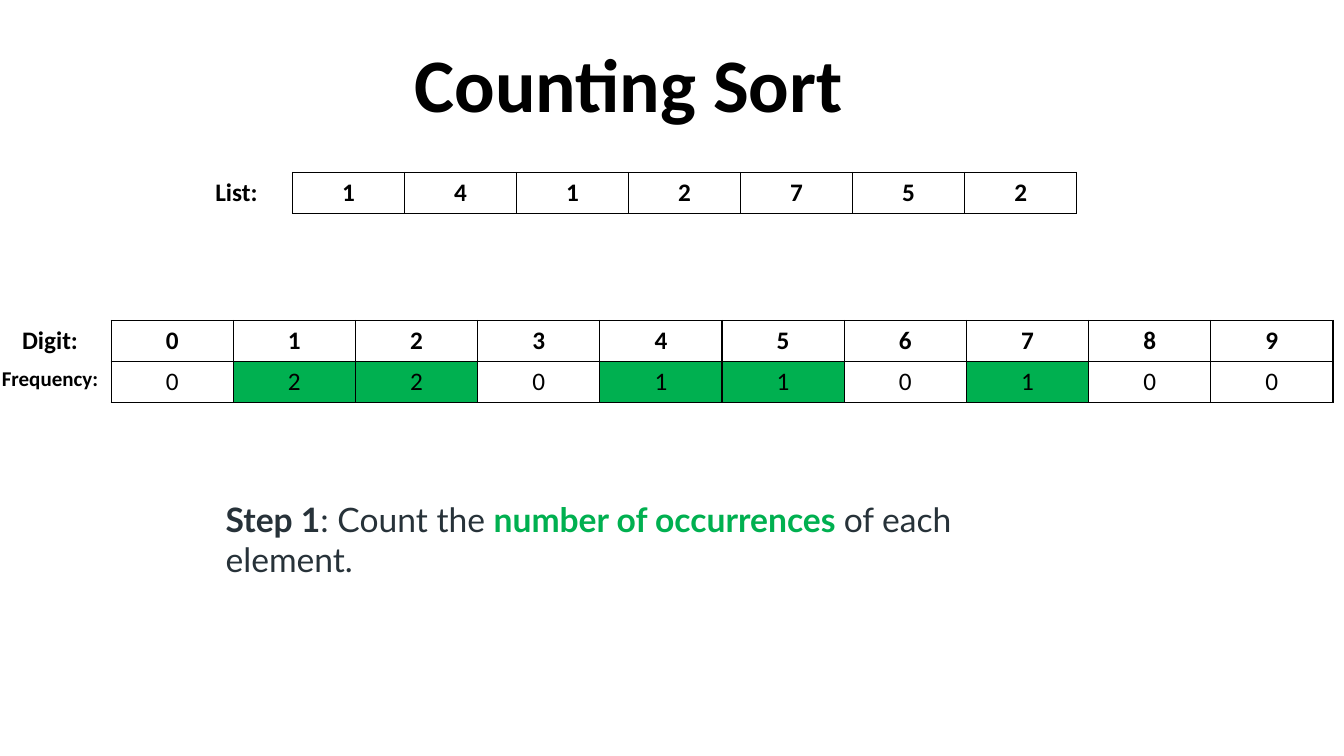
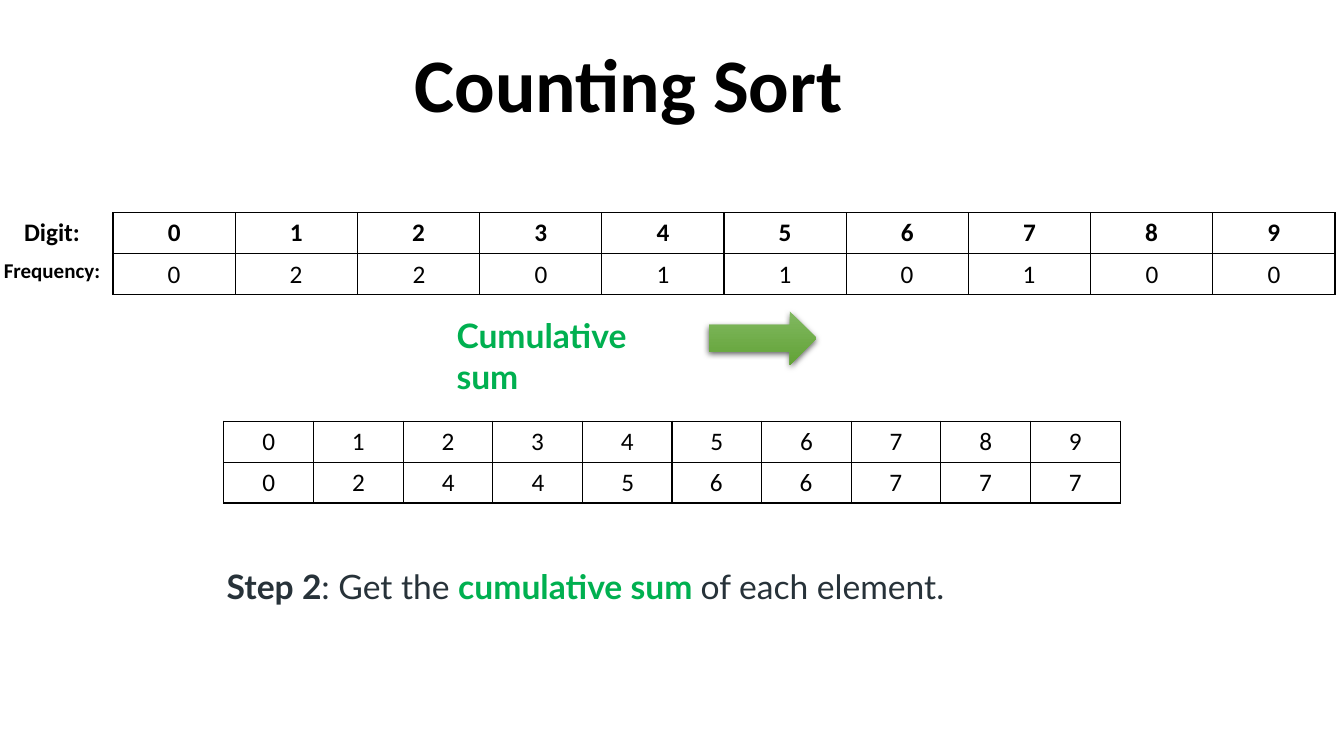
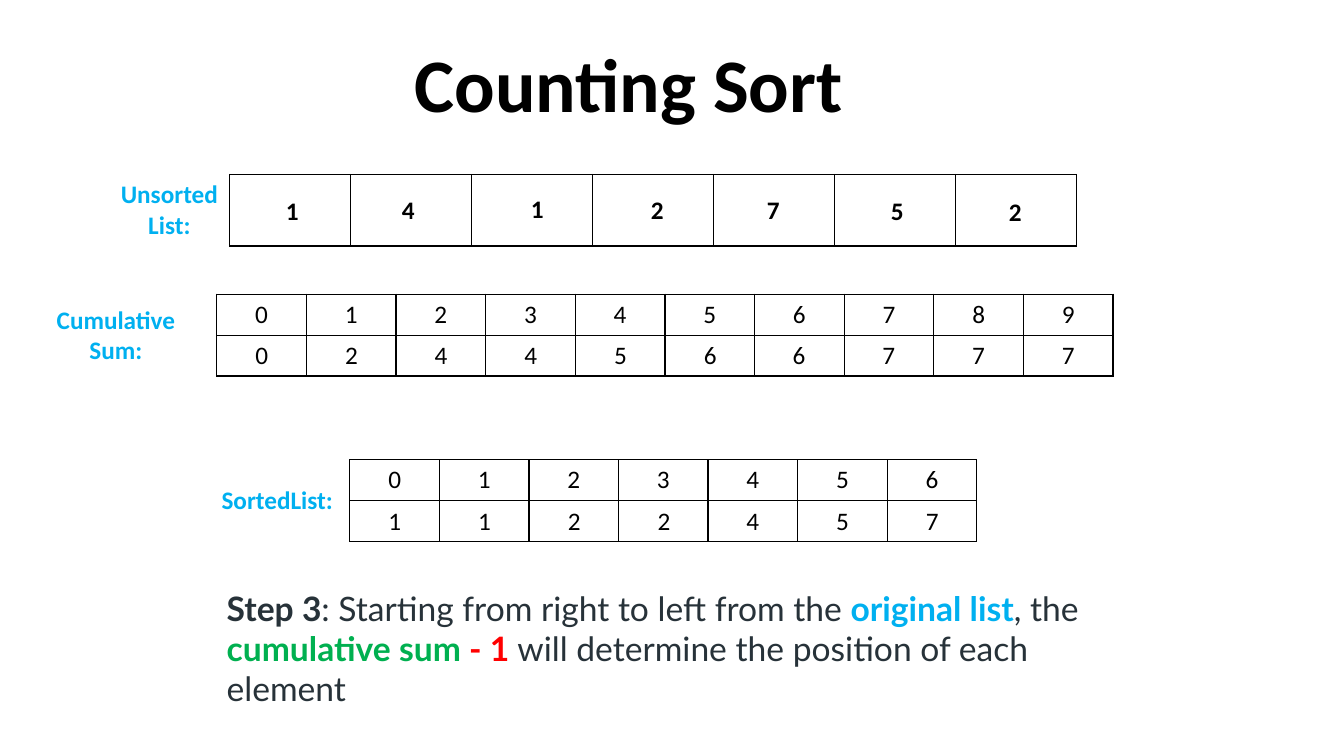
"""Build three slides that explain counting sort step by step."""
import lxml.etree
import pptx
import pptx.dml.color
import pptx.enum.shapes
import pptx.enum.text
import pptx.oxml.ns
import pptx.util

PX = 9144
BOX_HEIGHT = 40
BLACK, SLATE, GREEN, BLUE, RED = "000000", "273239", "00B050", "00B0F0", "FF0000"
ARROW_TOP, ARROW_BOTTOM = "81B861", "62A336"
TITLE = {"name": "Calibri", "size": pptx.util.Pt(54), "bold": True}
CELL = {"name": "Calibri", "size": pptx.util.Pt(18), "bold": False}
LABEL = CELL | {"bold": True}
SMALL_LABEL = LABEL | {"size": pptx.util.Pt(15)}
STEP = {"name": "Lato", "size": pptx.util.Pt(24), "bold": False}
STRONG = STEP | {"bold": True}
LEFT, CENTER = pptx.enum.text.PP_ALIGN.LEFT, pptx.enum.text.PP_ALIGN.CENTER
qn = pptx.oxml.ns.qn


def rgb(color):
    return pptx.dml.color.RGBColor.from_string(color)


def write(para, align, spans):
    para.alignment = align
    for text, style, color in spans:
        for line_index, line in enumerate(text.split("\n")):
            if line_index:
                para.add_line_break()
            span = para.add_run()
            span.text = line
            for name, value in style.items():
                setattr(span.font, name, value)
            span.font.color.rgb = rgb(color)


digits = list("0123456789")
numbers = list("1412752")
frequencies = list("0220110100")
cumulative = [digits, list("0244566777")]
counted = [["Digit:"] + digits, ["Frequency:"] + frequencies]
ordered = [digits[:7], sorted(numbers)]
level = [(0, 0)] * 11
scattered = [(0, 0), (2, 1), (-3, 0), (5, -1), (4, 0), (-1, 0), (2, 1), (-1, 2)]

pages = [
    {
        "floating": False,
        "tables": [
            ((179, 171, 889, 41), [["List:"] + numbers], BLACK, level),
            ((-11, 318, 1333, 81), counted, BLACK, level),
        ],
        "notes": [
            ((214, 490, 820, 50), LEFT, [
                ("Step 1", STRONG, SLATE),
                (": Count the ", STEP, SLATE),
                ("number of occurrences ", STRONG, GREEN),
                ("of each element.", STEP, SLATE),
            ]),
        ],
        "arrows": [],
    },
    {
        "floating": True,
        "tables": [
            ((-9, 211, 1333, 81), counted, BLACK, level),
            ((222, 418, 889, 81), cumulative, BLACK, level),
        ],
        "notes": [
            ((443, 308, 253, 50), LEFT, [("Cumulative sum", STRONG, GREEN)]),
            ((215, 557, 818, 50), LEFT, [
                ("Step 2", STRONG, SLATE),
                (": Get the ", STEP, SLATE),
                ("cumulative sum ", STRONG, GREEN),
                ("of each element.", STEP, SLATE),
            ]),
        ],
        "arrows": [(703, 309, 107, 53)],
    },
    {
        "floating": True,
        "tables": [
            ((215, 292, 889, 81), cumulative, BLACK, level),
            ((347, 456, 622, 81), ordered, BLACK, level),
            ((108, 173, 960, 70), [["Unsorted\nList:"] + numbers], BLUE, scattered),
        ],
        "notes": [
            ((20, 297, 190, 71), CENTER, [("Cumulative Sum:", LABEL, BLUE)]),
            ((206, 476, 138, 40), CENTER, [("SortedList:", LABEL, BLUE)]),
            ((215, 578, 889, 91), LEFT, [
                ("Step 3", STRONG, SLATE),
                (": Starting from right to left from the ", STEP, SLATE),
                ("original list", STRONG, BLUE),
                (", the ", STEP, SLATE),
                ("cumulative sum ", STRONG, GREEN),
                ("- 1 ", STRONG, RED),
                ("will determine the position of each element", STEP, SLATE),
            ]),
        ],
        "arrows": [],
    },
]

deck = pptx.Presentation()
deck.slide_width, deck.slide_height = 1333 * PX, 750 * PX
layout = deck.slide_layouts[0]
subtitle = layout.placeholders[1].element
subtitle.getparent().remove(subtitle)
heading = layout.placeholders[0]
for name, value in {"left": 80, "top": 54, "width": 1087, "height": 79}.items():
    setattr(heading, name, value * PX)

for content in pages:
    page = deck.slides.add_slide(layout)
    frame = page.shapes.title.text_frame
    frame.auto_size = pptx.enum.text.MSO_AUTO_SIZE.NONE
    frame.vertical_anchor = pptx.enum.text.MSO_ANCHOR.BOTTOM
    frame.paragraphs[0].line_spacing = 0.9
    write(frame.paragraphs[0], CENTER, [("Counting Sort", TITLE, BLACK)])
    notes = list(content["notes"])

    for (left, top, width, height), rows, label_color, nudges in content["tables"]:
        columns = len(rows[0])
        column_width, row_height = width / columns, height / len(rows)
        labelled = not rows[0][0].isdigit()
        grid = page.shapes.add_table(
            len(rows), columns, left * PX, top * PX, width * PX, height * PX
        ).table
        grid.first_row = grid.horz_banding = False
        for column in grid.columns:
            column.width = int(column_width * PX)
        for row_index, row in enumerate(rows):
            grid.rows[row_index].height = int(row_height * PX)
            for column_index, text in enumerate(row):
                cell = grid.cell(row_index, column_index)
                is_label = labelled and column_index == 0
                for side in "LRTB":
                    border = lxml.etree.SubElement(
                        cell._tc.get_or_add_tcPr(), qn("a:ln" + side), w="12700"
                    )
                    if is_label and side != "R":
                        lxml.etree.SubElement(border, qn("a:noFill"))
                    else:
                        paint = lxml.etree.SubElement(border, qn("a:solidFill"))
                        lxml.etree.SubElement(paint, qn("a:srgbClr"), val=BLACK)
                cell.fill.background()
                style = LABEL if is_label or labelled and row_index == 0 else CELL
                if is_label and row_index == 1:
                    style = SMALL_LABEL
                spans = [(text, style, label_color if is_label else BLACK)]
                if content["floating"] and row is rows[-1] and not is_label:
                    shift, drop = nudges[column_index]
                    box_left = round(left + column_index * column_width) + shift
                    box_top = int(top + row_index * row_height + (row_height - BOX_HEIGHT) / 2)
                    place = (box_left, box_top + drop, round(column_width), BOX_HEIGHT)
                    notes.append((place, CENTER, spans))
                    continue
                if row_index == 1 and not is_label and text != "0":
                    cell.fill.solid()
                    cell.fill.fore_color.rgb = rgb(GREEN)
                write(cell.text_frame.paragraphs[0], CENTER, spans)

    for place, align, spans in notes:
        box = page.shapes.add_textbox(*[length * PX for length in place])
        box.text_frame.word_wrap = True
        write(box.text_frame.paragraphs[0], align, spans)

    for place in content["arrows"]:
        arrow = page.shapes.add_shape(
            pptx.enum.shapes.MSO_SHAPE.RIGHT_ARROW, *[length * PX for length in place]
        )
        arrow.fill.gradient()
        arrow.fill.gradient_angle = 270
        for stop, color in zip(arrow.fill.gradient_stops, (ARROW_TOP, ARROW_BOTTOM)):
            stop.color.rgb = rgb(color)
        arrow.line.fill.background()
        arrow.shadow.inherit = False
        shadow = lxml.etree.SubElement(
            arrow._element.spPr.find(qn("a:effectLst")), qn("a:outerShdw"),
            blurRad="57150", dist="19050", dir="5400000", algn="ctr", rotWithShape="0",
        )
        shade = lxml.etree.SubElement(shadow, qn("a:srgbClr"), val=BLACK)
        lxml.etree.SubElement(shade, qn("a:alpha"), val="63000")

deck.save("out.pptx")
